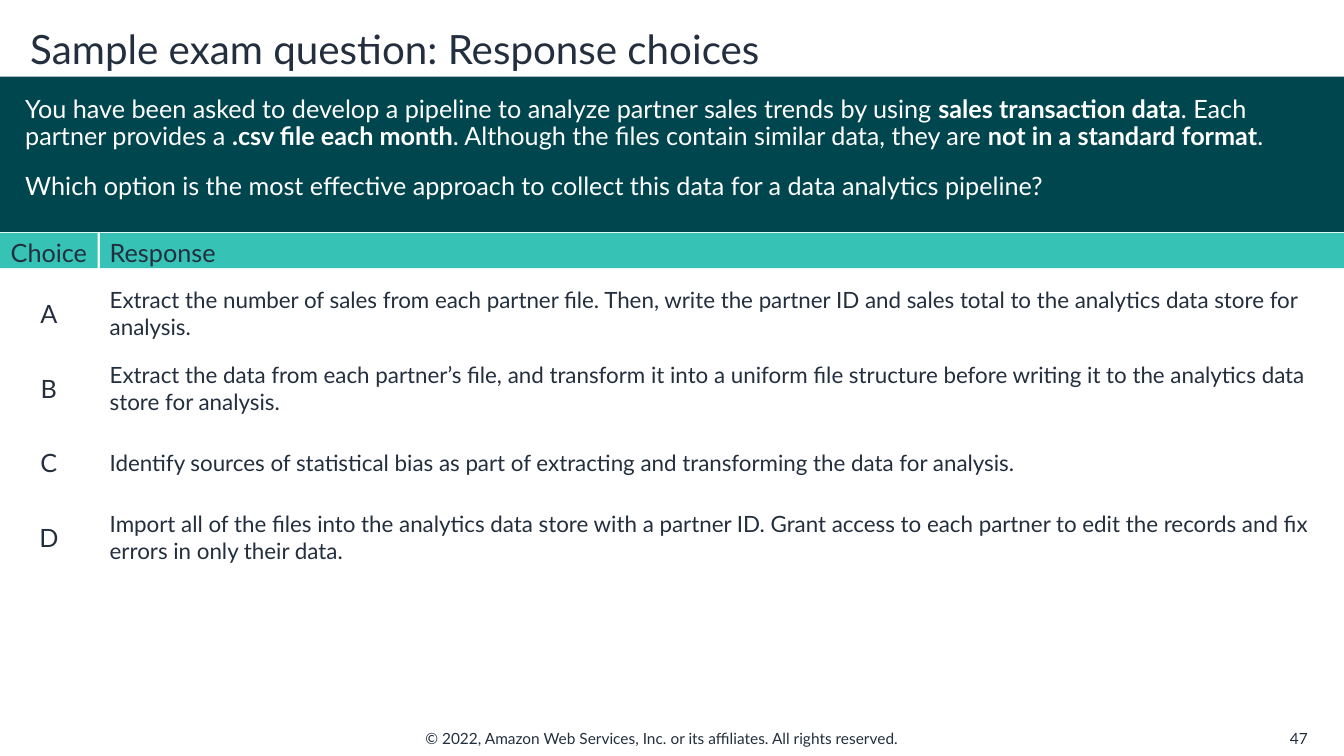
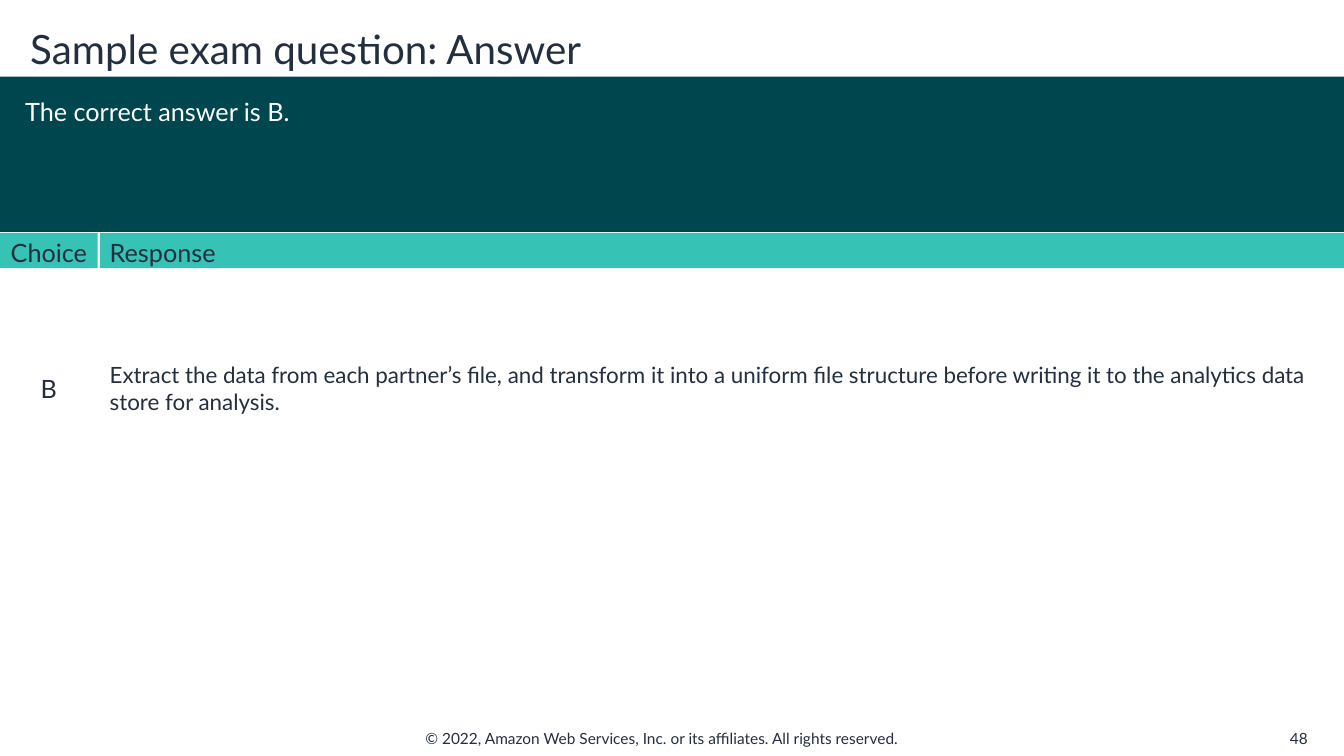
from pptx import Presentation
from pptx.dml.color import RGBColor
from pptx.enum.shapes import MSO_SHAPE
from pptx.enum.text import MSO_ANCHOR, MSO_AUTO_SIZE, PP_ALIGN
from pptx.oxml.ns import qn
from pptx.util import Inches, Pt
from lxml import etree

INK, WHITE, DARK_TEAL, TEAL = "232F3E", "FFFFFF", "00464F", "36C2B4"
LEFT, CENTER, RIGHT = PP_ALIGN.LEFT, PP_ALIGN.CENTER, PP_ALIGN.RIGHT
TOP, MIDDLE = MSO_ANCHOR.TOP, MSO_ANCHOR.MIDDLE

FOOTER = "© 2022, Amazon Web Services, Inc. or its affiliates. All rights reserved."
QUESTION = [
    "You have been asked to develop a pipeline to analyze partner sales trends by using "
    "**sales transaction data**. Each partner provides a **.csv file each month**. "
    "Although the files contain similar data, they are **not in a standard format**.",
    "Which option is the most effective approach to collect this data for a data "
    "analytics pipeline?",
]
RESPONSES = {
    "A": "Extract the number of sales from each partner file. Then, write the partner ID "
         "and sales total to the analytics data store for analysis.",
    "B": "Extract the data from each partner’s file, and transform it into a uniform file "
         "structure before writing it to the analytics data store for analysis.",
    "C": "Identify sources of statistical bias as part of extracting and transforming the "
         "data for analysis.",
    "D": "Import all of the files into the analytics data store with a partner ID. Grant "
         "access to each partner to edit the records and fix errors in only their data.",
}


def color(hex_string):
    return RGBColor.from_string(hex_string)


class ExamDeck:
    font = "Lato"
    width, height = 13.33, 7.5
    choice_width, response_left, response_width = 0.97, 0.99, 12
    header_top, header_height = 2.31, 0.35
    first_row, row_pitch, row_height = 2.76, 0.74, 0.7

    def __init__(self):
        self.deck = Presentation()
        self.deck.slide_width = Inches(self.width)
        self.deck.slide_height = Inches(self.height)
        self.slide = None

    def place(self, shape, left, top, width, height):
        shape.left, shape.top = Inches(left), Inches(top)
        shape.width, shape.height = Inches(width), Inches(height)

    def frame(self, shape, anchor=TOP, insets=(0.1, 0.05, 0.1, 0.05), wrap=True):
        """Set up the text frame; insets run left, top, right, bottom."""
        frame = shape.text_frame
        frame.auto_size = MSO_AUTO_SIZE.NONE
        frame.word_wrap = wrap
        frame.vertical_anchor = anchor
        (frame.margin_left, frame.margin_top,
         frame.margin_right, frame.margin_bottom) = map(Inches, insets)
        return frame

    def style(self, para, size, ink=INK, align=LEFT):
        para.alignment = align
        para.font.name = self.font
        para.font.size = Pt(size)
        para.font.color.rgb = color(ink)

    def text(self, shape, text, size, align=LEFT, **frame_options):
        para = self.frame(shape, **frame_options).paragraphs[0]
        para.text = text
        self.style(para, size, align=align)

    def text_box(self, parent, at, text, size, align=LEFT, **frame_options):
        box = parent.shapes.add_textbox(*map(Inches, at))
        self.text(box, text, size, align, **frame_options)

    def panel(self, parent, at, fill, text, size, align=LEFT, line=None, **frame_options):
        panel = parent.shapes.add_shape(MSO_SHAPE.RECTANGLE, *map(Inches, at))
        panel.shadow.inherit = False
        panel.fill.solid()
        panel.fill.fore_color.rgb = color(fill)
        if line:
            panel.line.color.rgb = color(line)
            panel.line.width = Pt(0.75)
        else:
            panel.line.fill.background()
        self.text(panel, text, size, align, **frame_options)

    def new_slide(self, title, number):
        self.slide = self.deck.slides.add_slide(self.deck.slide_layouts[1])
        self.text_box(self.slide, (4.12, 7.18, 5.09, 0.29), FOOTER, 11, wrap=False)
        self.text_box(self.slide, (12.54, 7.18, 0.53, 0.29), str(number), 11, RIGHT,
                      anchor=MIDDLE)
        self.place(self.slide.shapes.title, 0.2, 0.2, 12.87, 0.55)
        self.text(self.slide.shapes.title, title, 28.8, anchor=MIDDLE)

    def band(self, paragraphs, line_spacing=1.0):
        """Fill the dark band; text between ** marks is bold."""
        body = self.slide.placeholders[1]
        self.place(body, 0, 0.76, self.width, 1.54)
        body.fill.solid()
        body.fill.fore_color.rgb = color(DARK_TEAL)
        frame = self.frame(body, insets=(0.25, 0.2, 0.2, 0))
        for index, text in enumerate(paragraphs):
            para = frame.add_paragraph() if index else frame.paragraphs[0]
            properties = para._p.get_or_add_pPr()
            properties.set("marL", "0")
            properties.set("indent", "0")
            etree.SubElement(properties, qn("a:buNone"))
            para.line_spacing = line_spacing
            para.space_before = Pt(10 if index else 0)
            para.space_after = Pt(6)
            self.style(para, 18, WHITE)
            for part, words in enumerate(text.split("**")):
                span = para.add_run()
                span.text = words
                if part % 2:
                    span.font.bold = True

    def header(self):
        group = self.slide.shapes.add_group_shape()
        top, height = self.header_top, self.header_height
        self.panel(group, (0, top, self.choice_width, height), TEAL, "Choice", 18, CENTER,
                   insets=(0, 0.05, 0, 0.05))
        self.panel(group, (self.response_left, top, self.width - self.response_left, height),
                   TEAL, "Response", 18, insets=(0.1, 0.05, 0, 0.05))

    def choices(self, letters):
        """Show the given choices, each in its own fixed row."""
        for row, (letter, response) in enumerate(RESPONSES.items()):
            if letter not in letters:
                continue
            top = self.first_row + row * self.row_pitch
            group = self.slide.shapes.add_group_shape()
            self.text_box(group, (0, top, self.choice_width, self.row_height), letter, 18,
                          CENTER, anchor=MIDDLE, insets=(0, 0, 0, 0))
            self.panel(group, (self.response_left, top, self.response_width, self.row_height),
                       WHITE, response, 16, line=WHITE, anchor=MIDDLE,
                       insets=(0.1, 0.1, 0, 0.1))


def main():
    exam = ExamDeck()

    exam.new_slide("Sample exam question: Response choices", 47)
    exam.band(QUESTION, line_spacing=0.9)
    exam.header()
    exam.choices("ABCD")

    exam.new_slide("Sample exam question: Answer", 48)
    exam.band(["The correct answer is B."])
    exam.header()
    exam.choices("B")

    exam.deck.save("out.pptx")


if __name__ == "__main__":
    main()
